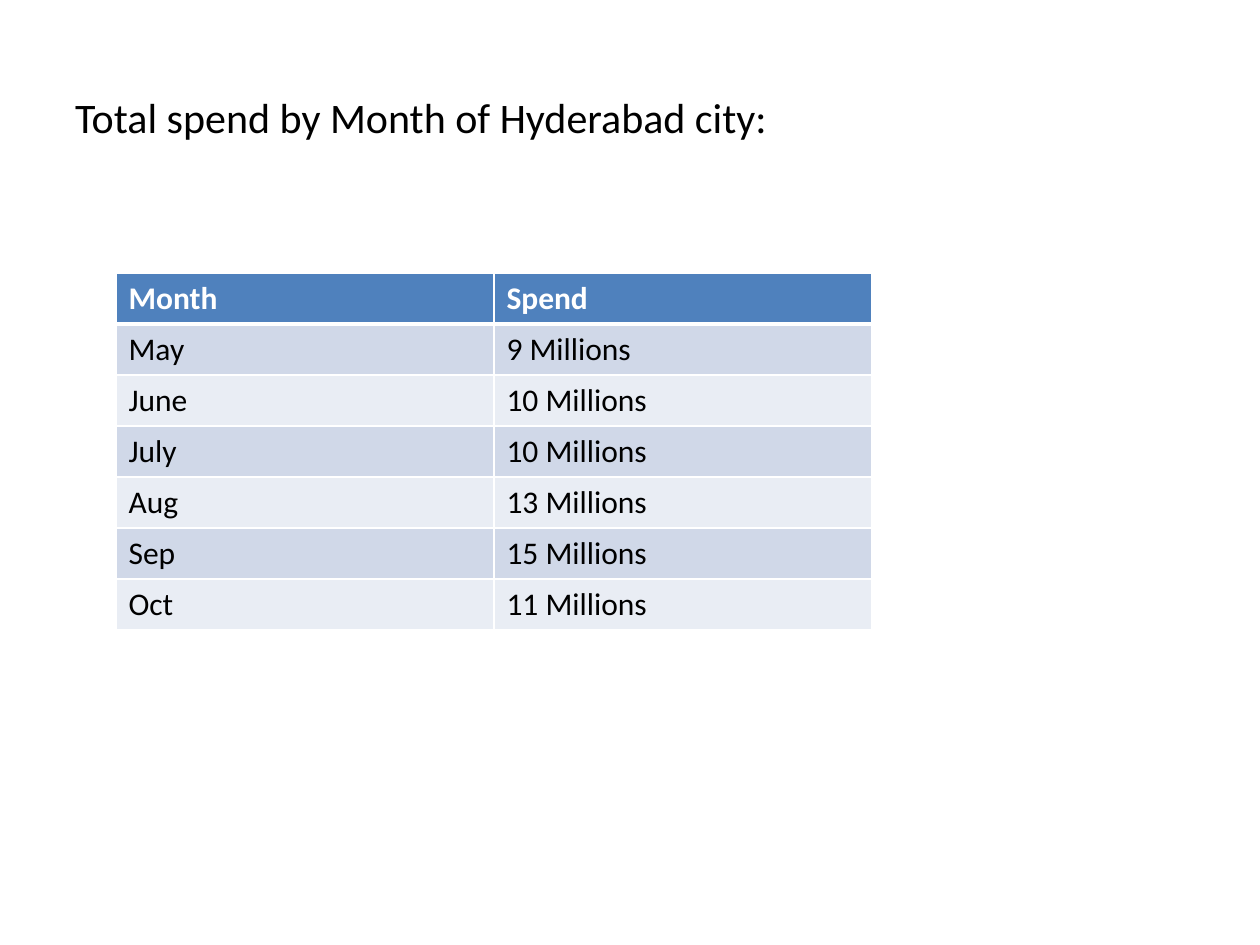
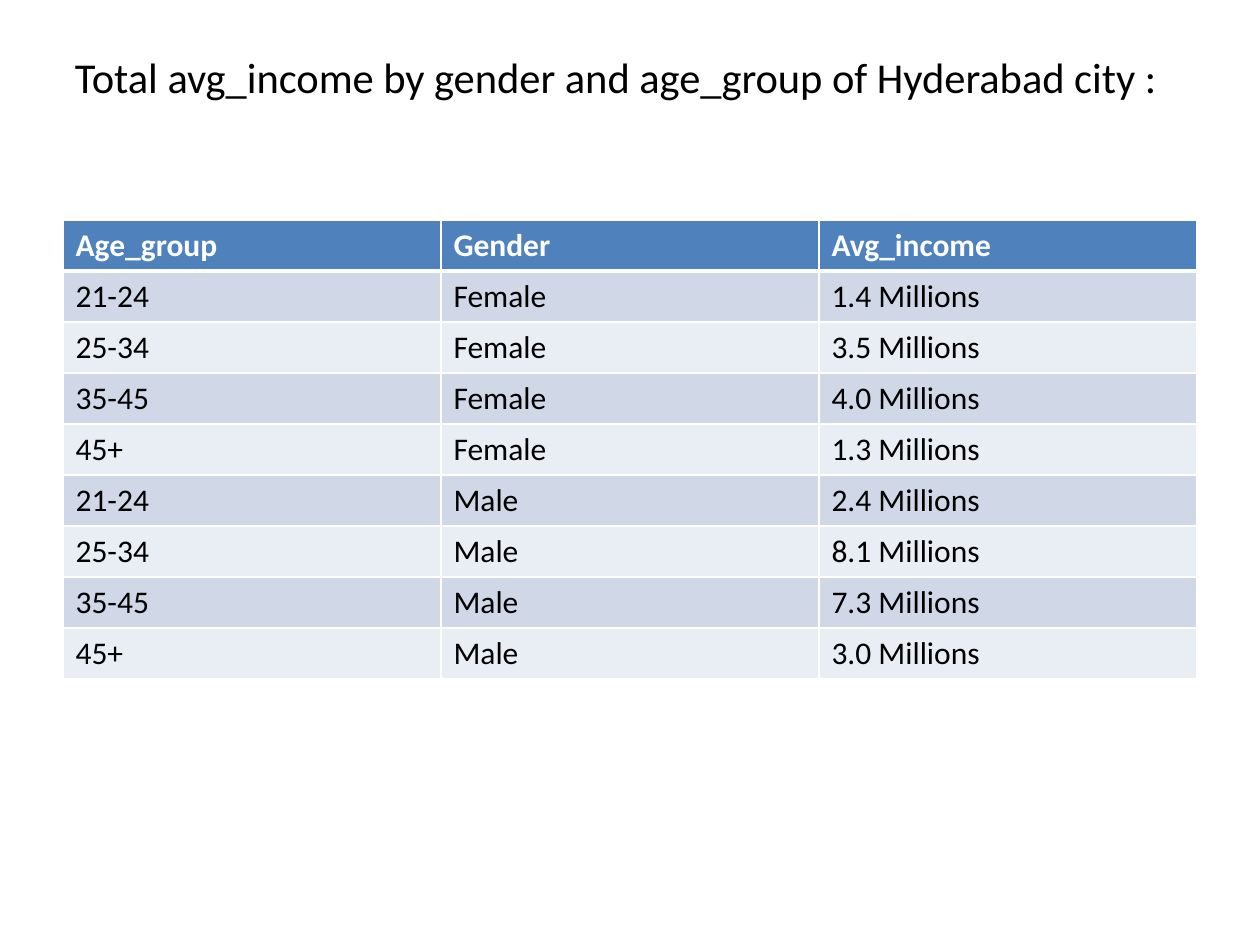
from dataclasses import dataclass

from lxml import etree
from pptx import Presentation
from pptx import util as u
from pptx.dml.color import RGBColor
from pptx.enum import text
from pptx.oxml.ns import qn

PX = 914400 // 126


@dataclass(frozen=True)
class Theme:
    font: str = "Calibri"
    ink: str = "000000"
    white: str = "FFFFFF"
    head: str = "4F81BD"
    bands: tuple = ("E9EDF4", "D0D8E8")
    body: int = 18
    thin: int = 1
    thick: int = 3


T = Theme()


def px(*sizes):
    return [u.Emu(size * PX) for size in sizes]


def add_run(para, words, size, color, bold=False):
    run = para.add_run()
    run.text = words
    font = run.font
    font.name, font.size, font.bold = T.font, u.Pt(size), bold
    font.color.rgb = RGBColor.from_string(color)


def add_title(slide, box, words, size, foot):
    frame = slide.shapes.add_textbox(*px(*box)).text_frame
    frame.word_wrap = True
    frame.vertical_anchor = text.MSO_ANCHOR.MIDDLE
    frame.margin_left, frame.margin_right, frame.margin_top, frame.margin_bottom = px(12, 12, 6, foot)
    add_run(frame.paragraphs[0], words, size, T.ink)


def add_edges(cell, row):
    props = cell._tc.get_or_add_tcPr()
    top = T.thick if row == 1 else T.thin
    base = T.thick if row == 0 else T.thin
    for side, width in zip("LRTB", (T.thin, T.thin, top, base)):
        line = etree.SubElement(props, qn(f"a:ln{side}"), w=str(u.Pt(width)))
        fill = etree.SubElement(line, qn("a:solidFill"))
        etree.SubElement(fill, qn("a:srgbClr"), val=T.white)


def add_grid(slide, box, rows):
    left, top, width, height = box
    count = len(rows[0])
    table = slide.shapes.add_table(len(rows), count, *px(left, top, width, height * len(rows))).table
    for col in table.columns:
        col.width = px(width // count)[0]
    for r, words in enumerate(rows):
        table.rows[r].height = px(height)[0]
        fill, ink = (T.bands[r % 2], T.ink) if r else (T.head, T.white)
        for c, word in enumerate(words):
            cell = table.cell(r, c)
            add_edges(cell, r)
            cell.fill.solid()
            cell.fill.fore_color.rgb = RGBColor.from_string(fill)
            add_run(cell.text_frame.paragraphs[0], word, T.body, ink, r == 0)


def add_page(deck, title, width, size, foot, grid, rows):
    slide = deck.slides.add_slide(deck.slide_layouts[6])
    add_title(slide, (63, 38, width, 157), title, size, foot)
    add_grid(slide, grid, rows)


def main():
    deck = Presentation()
    deck.slide_width, deck.slide_height = px(1260, 945)

    spend = [("May", 9), ("June", 10), ("July", 10), ("Aug", 13), ("Sep", 15), ("Oct", 11)]
    rows = [("Month", "Spend")] + [(month, f"{sum_} Millions") for month, sum_ in spend]
    add_page(deck, "Total spend by Month of Hyderabad city:", 840, 24, 6, (116, 273, 756, 51), rows)

    ages = ("21-24", "25-34", "35-45", "45+")
    income = {"Female": (1.4, 3.5, 4.0, 1.3), "Male": (2.4, 8.1, 7.3, 3.0)}
    rows = [("Age_group", "Gender", "Avg_income")]
    for gender, sums in income.items():
        rows += [(age, gender, f"{sum_:.1f} Millions") for age, sum_ in zip(ages, sums)]
    add_page(deck, "Total avg_income by gender and age_group of Hyderabad city :",
             1134, 24.3, 86, (63, 220, 1134, 51), rows)

    deck.save("out.pptx")


if __name__ == "__main__":
    main()
